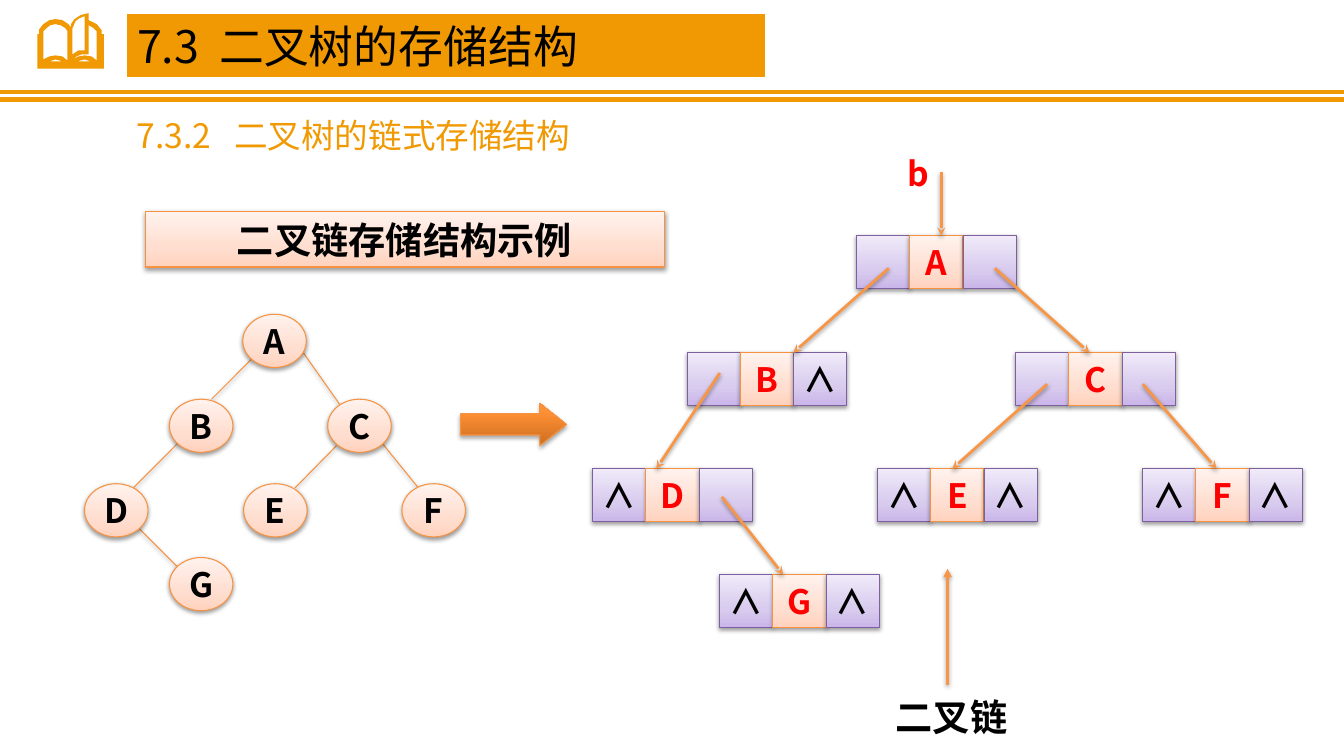
from dataclasses import dataclass

from lxml.etree import SubElement
from pptx import Presentation
from pptx.dml.color import RGBColor
from pptx.enum.shapes import MSO_CONNECTOR, MSO_SHAPE
from pptx.enum.text import MSO_ANCHOR, MSO_AUTO_SIZE, PP_ALIGN
from pptx.oxml import parse_xml
from pptx.oxml.ns import nsdecls, qn
from pptx.util import Cm, Pt

FONT = "Noto Sans CJK SC"
ORANGE, BLACK, RED = "F19903", "000000", "FF0000"
NODE_H, NODE_W, CELL = 1.34, 1.6, 1.34
NULL = "∧"


@dataclass(frozen=True)
class Style:
    stops: tuple[tuple[int, str], ...]
    line: str
    shadow: tuple[int, int] = (38, 20000)  # opacity in percent, distance in EMU


PEACH = Style(((0, "FFD2BD"), (35, "FFDED0"), (100, "FFF2ED")), "F69240")
PURPLE = Style(((0, "C9B5E8"), (35, "D8CBEE"), (100, "F0EAF9")), "7D60A0")
DEEP_ORANGE = Style(((0, "CC6E20"), (80, "FF9034"), (100, "FF9136")), "F69240", (35, 23000))


@dataclass(frozen=True)
class TreeNode:
    name: str
    x: float
    y: float


@dataclass(frozen=True)
class LinkedNode:
    name: str
    x: float
    y: float
    left: str = ""
    right: str = ""


@dataclass(frozen=True)
class Segment:
    x1: float
    y1: float
    x2: float
    y2: float


TREE_NODES = [
    TreeNode("A", 6.12, 7.92), TreeNode("B", 4.27, 10.06), TreeNode("C", 8.26, 10.06),
    TreeNode("D", 2.13, 12.19), TreeNode("E", 6.14, 12.19), TreeNode("G", 4.27, 14.05),
    TreeNode("F", 10.13, 12.19),
]
TREE_EDGES = [
    Segment(3.45, 13.26, 4.52, 14.33), Segment(6.4, 8.99, 5.33, 10.06),
    Segment(7.59, 8.81, 8.56, 10.19), Segment(4.52, 11.13, 3.2, 12.45),
    Segment(8.48, 11.23, 7.44, 12.29), Segment(9.6, 11.13, 10.67, 12.45),
]
LINKED_NODES = [
    LinkedNode("A", 21.59, 5.94), LinkedNode("B", 17.32, 8.88, right=NULL),
    LinkedNode("D", 14.94, 11.81, left=NULL), LinkedNode("G", 18.14, 14.48, NULL, NULL),
    LinkedNode("C", 25.6, 8.88), LinkedNode("E", 22.12, 11.81, NULL, NULL),
    LinkedNode("F", 28.8, 11.81, NULL, NULL),
]
POINTERS = [
    Segment(22.4, 6.76, 19.99, 8.89), Segment(18.14, 9.4, 16.54, 11.81),
    Segment(25.07, 6.76, 27.46, 8.89), Segment(18.19, 12.52, 19.74, 14.48),
    Segment(26.39, 9.68, 24, 11.81), Segment(28.8, 9.68, 30.66, 11.81),
    Segment(23.72, 4.34, 23.72, 5.94),
]
# Outlines of the open book: cover, then the holes in it, in 0.01 inch.
BOOK = [
    [(101, 34), (101, 30), (100, 29), (96, 24), (92, 21.5), (88, 20), (88, 13), (80, 15),
     (74, 19), (71, 23), (70, 27), (68, 24), (62, 20), (55, 19), (49, 20), (43, 24),
     (39, 29), (39, 34), (37, 34), (37, 68), (103, 68), (103, 34)],
    [(49, 61), (52, 59.5), (55, 59), (59, 59.5), (62, 61)],
    [(67, 60), (62, 56.5), (55, 55), (49, 56), (43, 59), (43, 31), (46, 28), (50, 25),
     (55, 24), (60, 25), (65, 28), (67, 31)],
    [(84, 16), (84, 50), (78, 50.5), (72, 54), (72, 28), (75, 21), (79, 17.5)],
    [(77, 61), (80, 59.5), (84, 59), (87, 59.5), (90, 61)],
    [(96, 60), (91, 56.5), (84, 55), (78, 56), (72, 59), (76, 56), (81, 54), (88, 54),
     (88, 25), (93, 28), (96, 31)],
]


def rgb(value: str) -> RGBColor:
    return RGBColor.from_string(value)


def set_shadow(sp, shadow: tuple[int, int] | None) -> None:
    """Give a filled and outlined shape its shadow, or none."""
    effects = SubElement(sp._element.spPr, qn("a:effectLst"))
    if shadow:
        alpha, dist = shadow
        effects.append(parse_xml(
            f'<a:outerShdw {nsdecls("a")} blurRad="40000" dist="{dist}" dir="5400000" '
            f'rotWithShape="0"><a:srgbClr val="000000"><a:alpha val="{alpha * 1000}"/>'
            '</a:srgbClr></a:outerShdw>'))


def set_gradient(sp, stops: tuple[tuple[int, str], ...]) -> None:
    sp.fill.background()
    gs = "".join(f'<a:gs pos="{pos * 1000}"><a:srgbClr val="{c}"/></a:gs>' for pos, c in stops)
    spPr = sp._element.spPr
    spPr.replace(spPr.find(qn("a:noFill")), parse_xml(
        f'<a:gradFill {nsdecls("a")} rotWithShape="1"><a:gsLst>{gs}</a:gsLst>'
        '<a:lin ang="16200000" scaled="0"/></a:gradFill>'))


def set_text(sp, text: str, size: float, color: str = BLACK, bold: bool = True,
             align=PP_ALIGN.CENTER, wrap: bool = True) -> None:
    tf = sp.text_frame
    frame_format = {"auto_size": MSO_AUTO_SIZE.NONE, "word_wrap": wrap, "margin_top": 0,
                    "margin_bottom": 0, "vertical_anchor": MSO_ANCHOR.MIDDLE}
    for name, value in frame_format.items():
        setattr(tf, name, value)
    p = tf.paragraphs[0]
    p.alignment = align
    r = p.add_run()
    r.text = text
    for name, value in {"name": FONT, "size": Pt(size), "bold": bold}.items():
        setattr(r.font, name, value)
    r.font.color.rgb = rgb(color)
    SubElement(r._r.get_or_add_rPr(), qn("a:ea")).set("typeface", FONT)


def add_styled(shapes, kind, x: float, y: float, w: float, h: float, style: Style):
    sp = shapes.add_shape(kind, Cm(x), Cm(y), Cm(w), Cm(h))
    set_gradient(sp, style.stops)
    sp.line.color.rgb = rgb(style.line)
    sp.line.width = Pt(0.75)
    set_shadow(sp, style.shadow)
    return sp


def add_line(shapes, seg: Segment, color: str, width: float, tail: str = "",
             shadow: tuple[int, int] | None = PEACH.shadow) -> None:
    cx = shapes.add_connector(MSO_CONNECTOR.STRAIGHT, Cm(seg.x1), Cm(seg.y1),
                              Cm(seg.x2), Cm(seg.y2))
    cx.line.color.rgb = rgb(color)
    cx.line.width = Pt(width)
    if tail:
        SubElement(cx.line._get_or_add_ln(), qn("a:tailEnd")).set("type", tail)
    set_shadow(cx, shadow)


def add_label(shapes, x: float, y: float, w: float, h: float, text: str, size: float,
              **text_format) -> None:
    set_text(shapes.add_textbox(Cm(x), Cm(y), Cm(w), Cm(h)), text, size, **text_format)


def add_book(shapes) -> None:
    builder = shapes.build_freeform(*BOOK[0][0], scale=Cm(0.0254))
    for i, outline in enumerate(BOOK):
        if i:
            builder.move_to(*outline[0])
        builder.add_line_segments(outline[1:], close=True)
    sp = builder.convert_to_shape()
    sp.fill.solid()
    sp.fill.fore_color.rgb = rgb(ORANGE)
    sp.line.fill.background()
    sp.shadow.inherit = False


def add_linked_node(shapes, node: LinkedNode) -> None:
    cells = [(node.left, PURPLE, BLACK), (node.name, PEACH, RED), (node.right, PURPLE, BLACK)]
    for i, (text, style, color) in enumerate(cells):
        sp = add_styled(shapes, MSO_SHAPE.RECTANGLE, node.x + i * CELL, node.y,
                        CELL, CELL, style)
        if text:
            set_text(sp, text, 24, color, wrap=False)


def add_title(title) -> None:
    box = {"left": Cm(3.2), "top": Cm(0.33), "width": Cm(16.1), "height": Cm(1.62)}
    for name, value in box.items():
        setattr(title, name, value)
    title.fill.solid()
    title.fill.fore_color.rgb = rgb(ORANGE)
    title.line.color.rgb = rgb("FFFFFF")
    title.line.width = Pt(0.75)
    set_text(title, "7.3  二叉树的存储结构", 32, bold=False, align=PP_ALIGN.LEFT)


def main() -> None:
    prs = Presentation()
    prs.slide_width, prs.slide_height = Cm(33.87), Cm(19.05)
    s = prs.slides.add_slide(prs.slide_layouts[5])
    shapes = s.shapes
    add_title(shapes.title)
    for y in (2.31, 2.51):
        add_line(shapes, Segment(0, y, 33.87, y), ORANGE, 3, shadow=None)
    add_book(shapes)
    add_label(shapes, 3.2, 2.77, 16.08, 1.27, "7.3.2   二叉树的链式存储结构", 24,
              color=ORANGE, bold=False, align=PP_ALIGN.LEFT)
    banner = add_styled(shapes, MSO_SHAPE.RECTANGLE, 3.66, 5.33, 13.08, 1.4, PEACH)
    set_text(banner, "二叉链存储结构示例", 26.6)

    for edge in TREE_EDGES:
        add_line(shapes, edge, PEACH.line, 0.75)
    for node in TREE_NODES:
        sp = add_styled(shapes, MSO_SHAPE.OVAL, node.x, node.y, NODE_W, NODE_H, PEACH)
        set_text(sp, node.name, 24, wrap=False)

    arrow = add_styled(shapes, MSO_SHAPE.RIGHT_ARROW, 11.61, 10.16, 2.67, 1.07, DEEP_ORANGE)
    arrow.adjustments[1] = 0.63

    for node in LINKED_NODES:
        add_linked_node(shapes, node)
    for pointer in POINTERS:
        add_line(shapes, pointer, "F79646", 2, "stealth")
    add_label(shapes, 21.95, 3.73, 2.39, 1.27, "b", 24, color=RED)
    add_label(shapes, 21.44, 17.35, 5.08, 1.4, "二叉链", 26.6)
    add_line(shapes, Segment(23.88, 17.25, 23.88, 14.33), "F79646", 2, "triangle")
    prs.save("out.pptx")


if __name__ == "__main__":
    main()
